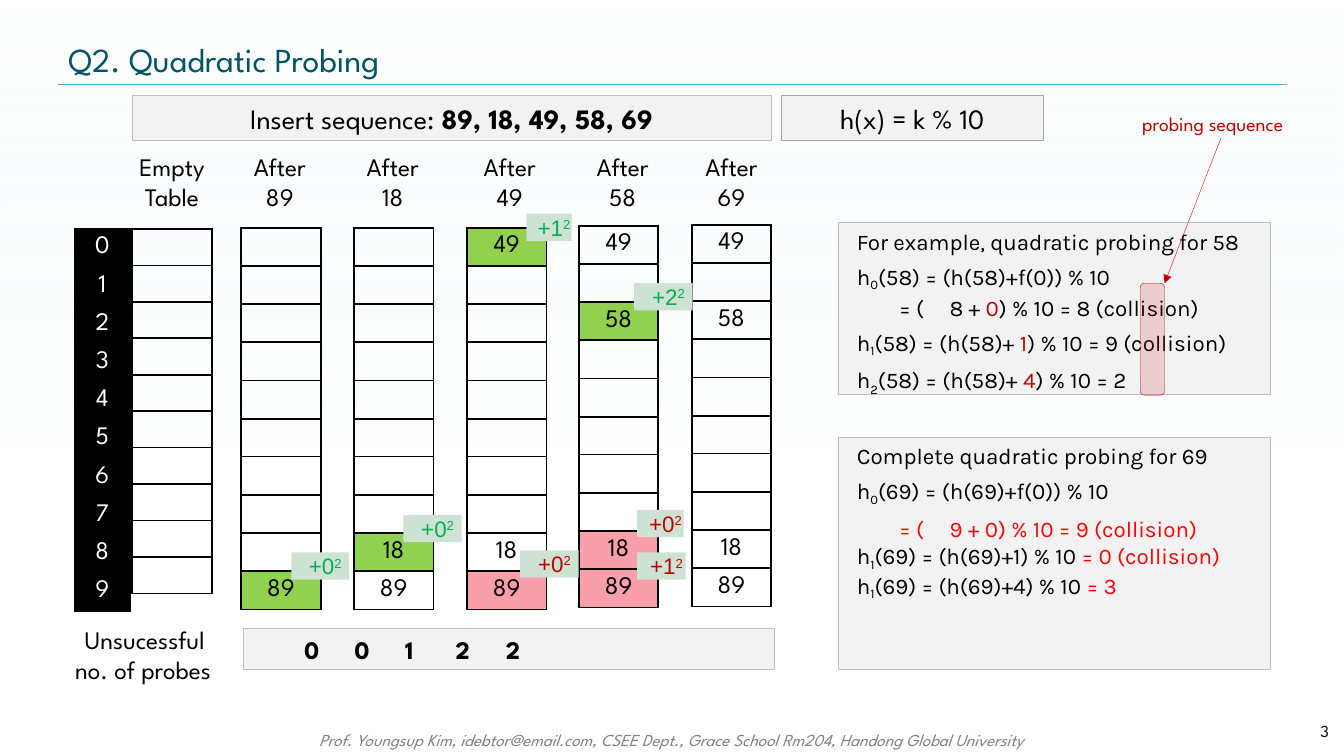
from lxml.etree import SubElement
from pptx import Presentation
from pptx.dml.color import RGBColor
from pptx.enum.shapes import MSO_CONNECTOR, MSO_SHAPE
from pptx.enum.text import MSO_ANCHOR, PP_ALIGN
from pptx.oxml.ns import qn
from pptx.util import Inches, Pt

CELL = Inches(0.1)
BLACK, WHITE, RED, BRIGHT_RED = "000000", "FFFFFF", "C00000", "FF0000"
GREEN, PINK, PANEL, BORDER = "92D050", "F99FAA", "F2F2F2", "BFBFBF"
BADGE, BADGE_GREEN, TEAL, SKY = "CEE2D3", "00B050", "005466", "4FADD1"

deck = Presentation()
deck.slide_width, deck.slide_height = int(133.3 * CELL), 75 * CELL
page = deck.slides.add_slide(deck.slide_layouts[6])


def paint(fill, color):
    if color is None:
        fill.background()
    else:
        fill.solid()
        fill.fore_color.rgb = RGBColor.from_string(color)


def write(frame, paragraphs, look, layout):
    frame.word_wrap = True
    for index, (before, spans) in enumerate(paragraphs):
        para = frame.paragraphs[0] if index == 0 else frame.add_paragraph()
        para.alignment = layout.get("align", PP_ALIGN.LEFT)
        para.space_before = Pt(before)
        settings = para._p.get_or_add_pPr()
        settings.set("marL", str(int(layout.get("indent", 0) * CELL)))
        settings.set("indent", "0")
        if "tabs" in layout and "\t" in spans[0][0]:
            settings.set("marL", "0")
            stops = SubElement(settings, qn("a:tabLst"))
            for stop in layout["tabs"]:
                SubElement(stops, qn("a:tab"), pos=str(int(stop * CELL)), algn="l")
        for text, changes in spans:
            span = para.add_run()
            span.text = text
            for name, value in {**look, **changes}.items():
                if name == "color":
                    paint(span.font.fill, value)
                elif name == "baseline":
                    span._r.get_or_add_rPr().set("baseline", str(value * 1000))
                else:
                    setattr(span.font, name, value)


backdrop = page.shapes.add_shape(MSO_SHAPE.RECTANGLE, 0, 0, deck.slide_width, deck.slide_height)
backdrop.shadow.inherit = False
backdrop.line.fill.background()
backdrop.fill.gradient()
backdrop.fill.gradient_angle = 270
for stop, color, position in zip(backdrop.fill.gradient_stops, ("D9F3F4", WHITE), (0, 0.61)):
    stop.color.rgb = RGBColor.from_string(color)
    stop.position = position
for tint, opacity in zip(backdrop.element.spPr.iter(qn("a:srgbClr")), (0, 40000)):
    SubElement(tint, qn("a:alpha"), val=str(opacity))

spartan = {"name": "League Spartan", "size": Pt(18), "color": BLACK}
heading = {**spartan, "size": Pt(20)}
small = {**spartan, "size": Pt(12)}
karla = {"name": "Karla", "size": Pt(16), "color": BLACK}
arial = {"name": "Arial", "size": Pt(16)}
sub, sup = {"baseline": -21}, {"baseline": 30}
red, bright = {"color": RED}, {"color": BRIGHT_RED}
left = {}
right = {"align": PP_ALIGN.RIGHT}
center = {"align": PP_ALIGN.CENTER}
middle = {"anchor": MSO_ANCHOR.MIDDLE}
note = {"indent": 0.8, "tabs": (6.1, 11.2)}

digits = {row: (str(row), BLACK) for row in range(10)}
tables = [
    (13.1, 22.7, 7.9, 3.62, {}),
    (23.9, 22.6, 7.9, 3.79, {9: ("89", GREEN)}),
    (35.1, 22.6, 7.9, 3.79, {8: ("18", GREEN), 9: ("89", None)}),
    (46.3, 22.6, 7.9, 3.79, {0: ("49", GREEN), 8: ("18", None), 9: ("89", PINK)}),
    (57.4, 22.4, 7.9, 3.79, {0: ("49", None), 2: ("58", GREEN), 8: ("18", PINK), 9: ("89", PINK)}),
    (68.6, 22.3, 7.9, 3.79, {0: ("49", None), 2: ("58", None), 8: ("18", None), 9: ("89", None)}),
    (7.4, 22.7, 5.5, 3.79, digits),
]
for x, y, width, height, entries in tables:
    frame = page.shapes.add_table(10, 1, *(int(n * CELL) for n in (x, y, width, 10 * height)))
    table = frame.table
    table.first_row = table.horz_banding = False
    for row in range(10):
        table.rows[row].height = int(height * CELL)
        slot = table.cell(row, 0)
        slot.margin_left = slot.margin_right = 0
        slot.margin_top = slot.margin_bottom = int(0.4 * CELL) if row in entries else 0
        slot.vertical_anchor = MSO_ANCHOR.MIDDLE
        thin = {"lnT": row in (1, 6), "lnB": row in (0, 5)}
        for side in ("lnL", "lnR", "lnT", "lnB"):
            weight = Pt(1 if thin.get(side) else 1.5)
            edge = SubElement(slot._tc.get_or_add_tcPr(), qn("a:" + side), w=str(weight))
            SubElement(SubElement(edge, qn("a:solidFill")), qn("a:srgbClr"), val=BLACK)
        text, fill = entries.get(row, ("", None))
        paint(slot.fill, fill)
        if text:
            ink = WHITE if fill == BLACK else BLACK
            write(slot.text_frame, [(0, [(text, {})])], {**spartan, "color": ink}, center)

example = [
    (5.8, [("For example, quadratic probing for 58", {})]),
    (5.8, [("h", {}), ("0", sub), ("(58) = (h(58)+f(0)) % 10", {})]),
    (1, [("\t= (\t8 + ", {}), ("0", red), (") % 10 = 8 (collision)", {})]),
    (5.8, [("h", {}), ("1", sub), ("(58) = (h(58)+", {}), (" 1", red), (") % 10 = 9 (collision)", {})]),
    (5.8, [("h", {}), ("2", {"baseline": -25}), ("(58) = (h(58)+ ", {}), ("4", red), (") % 10 = 2", {})]),
]
exercise = [
    (5.8, [("Complete quadratic probing for 69", {})]),
    (5.8, [("h", {}), ("0", sub), ("(69) = (h(69)+f(0)) % 10", {})]),
    (5.8, [("\t= (\t9 + 0) % 10 = 9 (collision)", bright)]),
    (0, [("h", {}), ("1", sub), ("(69) = (h(69)+1) % 10 ", {}), ("= 0 (collision)", bright)]),
    (0, [("h", {}), ("1", sub), ("(69) = (h(69)+4) % 10 ", {}), ("= 3", bright)]),
]
sequence = [(0, [("Insert sequence: ", {}), ("89, 18, 49, 58, 69", {"bold": True})])]
footer = "Prof. Youngsup Kim, idebtor@email.com, CSEE Dept., Grace School Rm204, Handong Global University"
counts = {"tabs": [2 + 10.5 * step for step in range(5)], **middle}
bar = {**center, **middle}
block, pill = MSO_SHAPE.RECTANGLE, MSO_SHAPE.ROUNDED_RECTANGLE

boxes = [
    (19.8, 71.9, 93.7, 3, None, None, None, {**small, "italic": True, "color": "808080"}, center,
     [(0, [(footer, {})])]),
    (5.8, 3.4, 121.8, 5, None, None, None, {**spartan, "size": Pt(24), "color": TEAL}, middle,
     [(0, [("Q2. Quadratic Probing", {})])]),
    (121.1, 70.5, 11.7, 4, None, None, None, small, {**right, **middle}, [(0, [("3", {})])]),
    (13.1, 9.5, 63.4, 4.4, block, PANEL, BORDER, heading, bar, sequence),
    (77.5, 9.5, 26, 4.4, block, PANEL, "A6A6A6", heading, bar, [(0, [("h(x) = k % 10", {})])]),
    (83.2, 22.1, 42.8, 17, block, PANEL, BORDER, karla, note, example),
    (83.2, 43.4, 42.8, 23, block, PANEL, BORDER, karla, note, exercise),
    (113.1, 28.1, 2.4, 11.1, pill, RED, RED, spartan, left, []),
    (112.3, 10.6, 19.6, 3.4, None, None, None, {**spartan, "size": Pt(14), "color": RED}, left,
     [(0, [("probing sequence", {})])]),
    (24.2, 62.4, 52.6, 4, block, PANEL, BORDER, {**spartan, "bold": True}, counts,
     [(0, [("\t0\t0\t1\t2\t2", {})])]),
    (3.7, 61.4, 18.2, 7.1, None, None, None, spartan, right,
     [(0, [("Unsucessful ", {})]), (0, [("no. of probes", {})])]),
]
headers = [(12.2, 9.7, "Empty", "Table")]
headers += [(x, 7.9, "After", key) for x, key in
            ((23.8, "89"), (35, "18"), (46.6, "49"), (57.8, "58"), (68.6, "69"))]
for x, width, *lines in headers:
    boxes.append((x, 14.5, width, 7.1, None, None, None, spartan, center,
                  [(0, [(line, {})]) for line in lines]))
badges = [
    (28.9, 54.8, 5.7, "+0", BADGE_GREEN), (40, 51.1, 5.8, "+0", BADGE_GREEN),
    (52.2, 21.2, 4.5, "+1", BADGE_GREEN), (62.9, 28.1, 5.8, "+2", BADGE_GREEN),
    (51.6, 54.6, 5.8, "+0", RED), (63.2, 50.6, 4.6, "+0", RED), (63.2, 54.8, 4.8, "+1", RED),
]
for x, y, width, step, color in badges:
    boxes.append((x, y, width, 2.7, block, BADGE, None, {**arial, "color": color},
                  {**center, "indent": 1, "inset": 0}, [(3.1, [(step, {}), ("2", sup)])]))

for x, y, width, height, outline, fill, line, look, layout, paragraphs in boxes:
    place = [int(n * CELL) for n in (x, y, width, height)]
    if outline is None:
        box = page.shapes.add_textbox(*place)
    else:
        box = page.shapes.add_shape(outline, *place)
        box.shadow.inherit = False
        paint(box.fill, fill)
        paint(box.line.fill, line)
        if line:
            box.line.width = Pt(0.25 if outline == pill else 0.75)
        if outline == pill:
            SubElement(next(box.element.spPr.iter(qn("a:srgbClr"))), qn("a:alpha"), val="15000")
    frame = box.text_frame
    frame.vertical_anchor = layout.get("anchor", MSO_ANCHOR.TOP)
    if "inset" in layout:
        for side in ("left", "right", "top", "bottom"):
            setattr(frame, "margin_" + side, layout["inset"])
    write(frame, paragraphs, look, layout)

for ends, color, arrow in (((5.8, 8.4, 127.6, 8.4), SKY, False), ((121.1, 13.7, 115.5, 28.1), RED, True)):
    line = page.shapes.add_connector(MSO_CONNECTOR.STRAIGHT, *(int(n * CELL) for n in ends))
    paint(line.line.fill, color)
    line.line.width = Pt(0.25)
    if arrow:
        SubElement(line.line._get_or_add_ln(), qn("a:tailEnd"), type="triangle")
    SubElement(line.element.spPr, qn("a:effectLst"))

deck.save("out.pptx")
